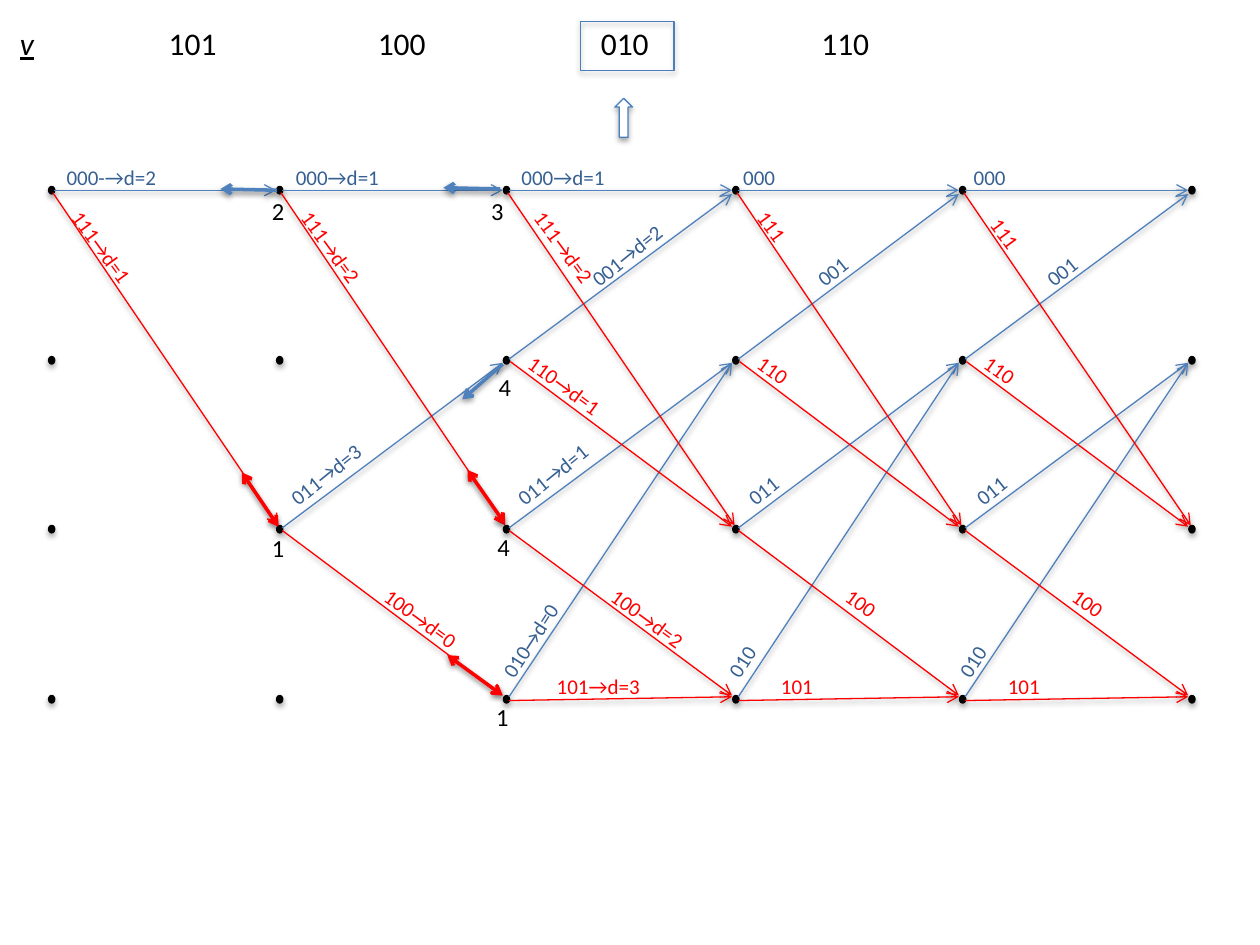
from dataclasses import dataclass

import pptx
import pptx.dml.color
import pptx.enum.shapes
import pptx.enum.text
import pptx.oxml
import pptx.oxml.ns
import pptx.util

Inches = pptx.util.Inches
Shapes = pptx.enum.shapes.MSO_SHAPE

BLACK, WHITE, RED = "000000", "FFFFFF", "FF0000"
BLUE, DARK_BLUE, OUTLINE_BLUE = "4F81BD", "376092", "4B7EBC"
COLUMNS = (0.41, 2.22, 4.02, 5.84, 7.64, 9.46)
ROWS = (1.51, 2.86, 4.2, 5.55)
NODE_WIDTH, NODE_HEIGHT = 0.05, 0.06
LABEL_WIDTH, LABEL_HEIGHT = 0.46, 0.3


@dataclass
class Label:
    text: str
    left: float
    top: float


@dataclass
class Branch:
    from_row: int
    to_row: int
    first_column: int
    start_offset: tuple[float, float]
    end_offset: tuple[float, float]
    rotation: float
    is_red: bool
    labels: list[Label]


@dataclass
class Survivor:
    start: tuple[float, float]
    end: tuple[float, float]
    is_red: bool


def labels(top: float, *entries: tuple[str, float]) -> list[Label]:
    return [Label(text, left, top) for text, left in entries]


BRANCHES = [
    Branch(0, 0, 0, (0.02, 0), (-0.03, 0), 0, False,
           labels(1.26, ("000-→d=2", 0.43), ("000→d=1", 2.25), ("000→d=1", 4.04),
                  ("000", 5.8), ("000", 7.63))),
    Branch(1, 0, 2, (0.02, -0.01), (-0.03, 0.03), 321, False,
           labels(2, ("001→d=2", 4.59), ("001", 6.38), ("001", 8.2))),
    Branch(2, 1, 1, (0.02, -0.01), (-0.03, 0.02), 321, False,
           labels(3.74, ("011→d=3", 2.2), ("011→d=1", 4), ("011", 5.83), ("011", 7.64))),
    Branch(3, 1, 2, (0.02, -0.02), (-0.03, 0.02), 303, False,
           labels(5.1, ("010→d=0", 3.87), ("010", 5.66), ("010", 7.49))),
    Branch(0, 2, 0, (0.01, 0.02), (-0.01, -0.03), 53.8, True,
           labels(1.65, ("111→d=1", 0.46), ("111→d=2", 2.28), ("111→d=2", 4.13),
                  ("111", 5.9)) + labels(1.71, ("111", 7.75))),
    Branch(1, 2, 2, (0.03, 0.01), (-0.03, -0.02), 36.2, True,
           labels(2.79, ("110→d=1", 4.09), ("110", 5.91), ("110", 7.71))),
    Branch(2, 3, 1, (0.02, 0.01), (-0.03, -0.03), 36.2, True,
           labels(4.64, ("100→d=0", 2.95), ("100→d=2", 4.75), ("100", 6.61), ("100", 8.41))),
    Branch(3, 3, 2, (0.02, 0.01), (-0.03, -0.02), 0, True,
           labels(5.3, ("101→d=3", 4.32), ("101", 6.1), ("101", 7.9))),
]

SURVIVORS = [
    Survivor((2.2, 1.51), (1.75, 1.5), False),
    Survivor((2.21, 4.18), (1.92, 3.75), True),
    Survivor((3.97, 1.5), (3.52, 1.49), False),
    Survivor((3.99, 2.89), (3.67, 3.17), False),
    Survivor((4.01, 4.16), (3.71, 3.73), True),
    Survivor((3.99, 5.52), (3.55, 5.2), True),
]

RECEIVED = labels(0.14, ("101", 1.24), ("100", 2.9), ("010", 4.67), ("110", 6.42))
METRICS = [
    Label("2", 2.06, 1.51), Label("1", 2.06, 4.18), Label("3", 3.8, 1.51),
    Label("4", 3.86, 2.9), Label("4", 3.85, 4.17), Label("1", 3.84, 5.52),
]


def rgb(color: str) -> pptx.dml.color.RGBColor:
    return pptx.dml.color.RGBColor.from_string(color)


def add_outline(slide, kind, left: float, top: float, width: float, height: float,
                fill: str | None, line: str) -> None:
    shape = slide.shapes.add_shape(
        kind, Inches(left), Inches(top), Inches(width), Inches(height))
    if fill:
        shape.fill.solid()
        shape.fill.fore_color.rgb = rgb(fill)
    else:
        shape.fill.background()
    shape.line.color.rgb = rgb(line)
    shape.line.width = pptx.util.Pt(0.75)


def add_arrow(slide, start: tuple[float, float], end: tuple[float, float],
              color: str, width: float, both_ends: bool = False) -> None:
    connector = slide.shapes.add_connector(
        pptx.enum.shapes.MSO_CONNECTOR.STRAIGHT, *map(Inches, (*start, *end)))
    connector.line.color.rgb = rgb(color)
    connector.line.width = pptx.util.Pt(width)
    line = connector.line._get_or_add_ln()
    for tag in ("headEnd", "tailEnd") if both_ends else ("tailEnd",):
        namespace = pptx.oxml.ns.nsdecls("a")
        line.append(pptx.oxml.parse_xml(f'<a:{tag} {namespace} type="arrow"/>'))


def add_label(slide, label: Label, width: float, height: float, size: int, color: str,
              rotation: float = 0, grows: bool = True):
    box = slide.shapes.add_textbox(
        Inches(label.left), Inches(label.top), Inches(width), Inches(height))
    box.rotation = rotation
    frame = box.text_frame
    frame.word_wrap = False
    auto_size = pptx.enum.text.MSO_AUTO_SIZE
    frame.auto_size = auto_size.SHAPE_TO_FIT_TEXT if grows else auto_size.NONE
    paragraph = frame.paragraphs[0]
    paragraph.text = label.text
    paragraph.font.name = "Calibri"
    paragraph.font.size = pptx.util.Pt(size)
    paragraph.font.color.rgb = rgb(color)
    return paragraph


def add_branch_arrows(slide, branch: Branch) -> None:
    for column in range(branch.first_column, len(COLUMNS) - 1):
        start = (COLUMNS[column] + branch.start_offset[0],
                 ROWS[branch.from_row] + branch.start_offset[1])
        end = (COLUMNS[column + 1] + branch.end_offset[0],
               ROWS[branch.to_row] + branch.end_offset[1])
        add_arrow(slide, start, end, RED if branch.is_red else BLUE, 0.75)


def main() -> None:
    presentation = pptx.Presentation()
    presentation.slide_width = Inches(10)
    presentation.slide_height = Inches(7.5)
    slide = presentation.slides.add_slide(presentation.slide_layouts[6])

    for column in COLUMNS:
        for row in ROWS:
            add_outline(slide, Shapes.OVAL, column - NODE_WIDTH / 2, row - NODE_HEIGHT / 2,
                        NODE_WIDTH, NODE_HEIGHT, BLACK, BLACK)
    for branch in BRANCHES:
        add_branch_arrows(slide, branch)
    for branch in BRANCHES:
        for label in branch.labels:
            add_label(slide, label, LABEL_WIDTH, LABEL_HEIGHT, 12,
                      RED if branch.is_red else DARK_BLUE, branch.rotation, False)

    for label in RECEIVED:
        add_label(slide, label, 0.59, 0.4, 18, BLACK)
    heading = add_label(slide, Label("v", 0.06, 0.14), 0.38, 0.4, 18, BLACK)
    heading.font.italic = True
    heading.font.underline = True
    for label in METRICS:
        add_label(slide, label, 0.3, 0.34, 14, BLACK)
    for survivor in SURVIVORS:
        add_arrow(slide, survivor.start, survivor.end,
                  RED if survivor.is_red else BLUE, 2, survivor.is_red)

    add_outline(slide, Shapes.RECTANGLE, 4.61, 0.17, 0.74, 0.39, None, OUTLINE_BLUE)
    add_outline(slide, Shapes.UP_ARROW, 4.88, 0.78, 0.14, 0.31, WHITE, OUTLINE_BLUE)
    presentation.save("out.pptx")


if __name__ == "__main__":
    main()
